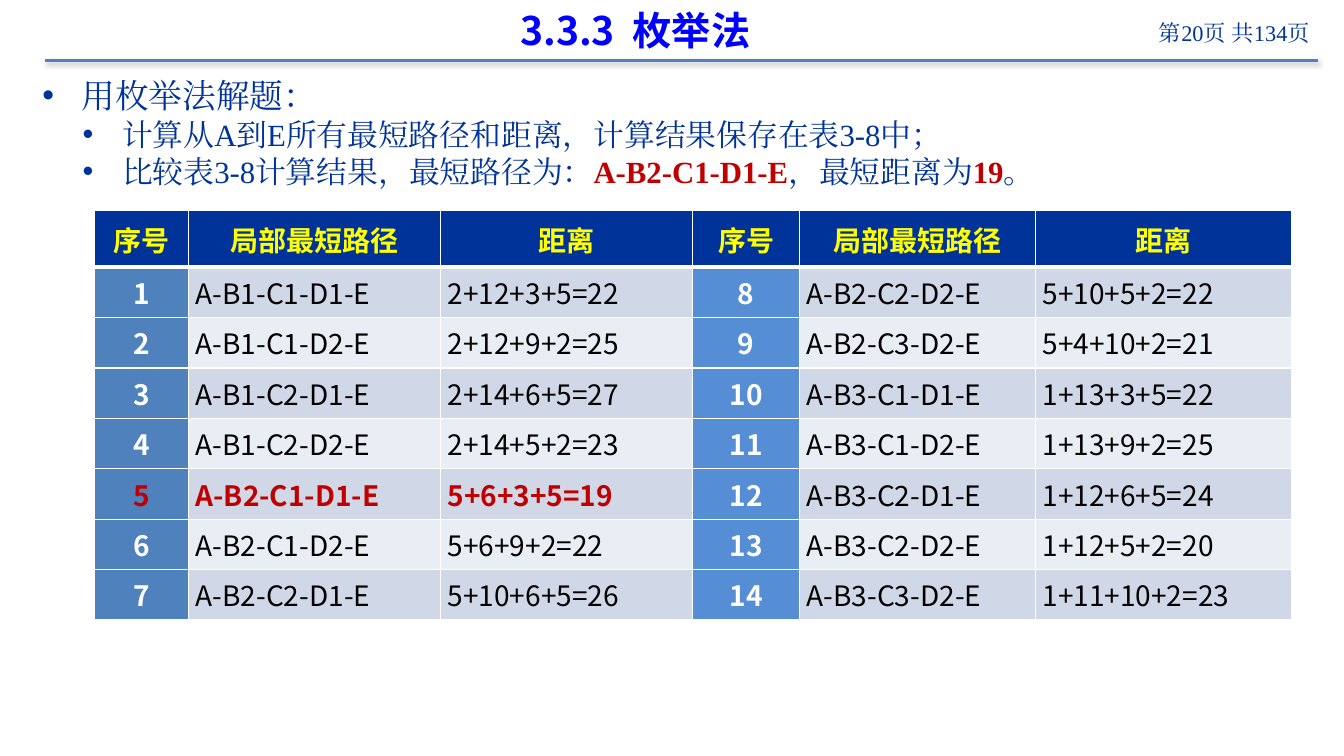
from dataclasses import dataclass
from typing import NamedTuple

from lxml.etree import SubElement
from pptx import Presentation
from pptx.dml.color import RGBColor
from pptx.enum.shapes import MSO_CONNECTOR as Connector
from pptx.enum.text import MSO_ANCHOR as Anchor, MSO_AUTO_SIZE as AutoSize, PP_ALIGN as Align
from pptx.oxml.ns import qn
from pptx.util import Inches, Pt


@dataclass(frozen=True)
class Theme:
    navy: str = "003399"
    blue: str = "0000FF"
    rule: str = "4F81BD"
    right_index: str = "558ED5"
    band_dark: str = "D0D8E8"
    band_light: str = "E9EDF4"
    yellow: str = "FFFF00"
    red: str = "C00000"
    white: str = "FFFFFF"
    black: str = "000000"
    serif: str = "Times New Roman"
    sans: str = "Noto Sans CJK SC"
    title_size: int = 28
    lead_size: int = 24
    point_size: int = 22
    table_size: int = 20
    page_size: int = 16


class Route(NamedTuple):
    number: int
    route_text: str
    distance: str


class Bullet(NamedTuple):
    level: int
    size: int
    pieces: tuple  # pairs of text and whether it is stressed


class CellStyle(NamedTuple):
    fill: str
    color: str
    bold: bool
    align: Align
    bottom: float = 1


THEME = Theme()
BEST_NUMBER = 5
HEADINGS = ("序号", "局部最短路径", "距离") * 2
COLUMN_WIDTHS = (0.93, 2.5, 2.5, 1.06, 2.34, 2.54)
HEADER_HEIGHT, ROW_HEIGHT = 0.56, 0.5

ROUTES = [Route(number, *texts) for number, texts in enumerate((
    ("A-B1-C1-D1-E", "2+12+3+5=22"),
    ("A-B1-C1-D2-E", "2+12+9+2=25"),
    ("A-B1-C2-D1-E", "2+14+6+5=27"),
    ("A-B1-C2-D2-E", "2+14+5+2=23"),
    ("A-B2-C1-D1-E", "5+6+3+5=19"),
    ("A-B2-C1-D2-E", "5+6+9+2=22"),
    ("A-B2-C2-D1-E", "5+10+6+5=26"),
    ("A-B2-C2-D2-E", "5+10+5+2=22"),
    ("A-B2-C3-D2-E", "5+4+10+2=21"),
    ("A-B3-C1-D1-E", "1+13+3+5=22"),
    ("A-B3-C1-D2-E", "1+13+9+2=25"),
    ("A-B3-C2-D1-E", "1+12+6+5=24"),
    ("A-B3-C2-D2-E", "1+12+5+2=20"),
    ("A-B3-C3-D2-E", "1+11+10+2=23"),
), start=1)]

BULLETS = (
    Bullet(0, THEME.lead_size, (("用枚举法解题：", False),)),
    Bullet(1, THEME.point_size,
           (("计算从A到E所有最短路径和距离，计算结果保存在表3-8中；", False),)),
    Bullet(1, THEME.point_size,
           (("比较表3-8计算结果，最短路径为：", False), ("A-B2-C1-D1-E", True),
            ("，最短距离为", False), ("19", True), ("。", False))),
)


def set_all(target, values: dict) -> None:
    for name, value in values.items():
        setattr(target, name, value)


def place(shape, left: float, top: float, width: float, height: float) -> None:
    set_all(shape, {"left": Inches(left), "top": Inches(top),
                    "width": Inches(width), "height": Inches(height)})


def add_run(paragraph, text: str, size: int, color: str, face: str, bold: bool = False) -> None:
    run = paragraph.add_run()
    run.text = text
    set_all(run.font, {"size": Pt(size), "bold": bold, "name": face})
    run.font.color.rgb = RGBColor.from_string(color)
    SubElement(run.font._element, qn("a:ea"), typeface=face)


def add_header_rule(slide) -> None:
    rule = slide.shapes.add_connector(
        Connector.STRAIGHT, Inches(0.45), Inches(0.6), Inches(13.07), Inches(0.6))
    rule.line.color.rgb = RGBColor.from_string(THEME.rule)
    rule.line.width = Pt(2)
    effects = SubElement(rule._element.spPr, qn("a:effectLst"))
    shadow = SubElement(effects, qn("a:outerShdw"), blurRad=str(Pt(3.1)), dist=str(Pt(1.6)),
                        dir="5400000", rotWithShape="0")
    color = SubElement(shadow, qn("a:srgbClr"), val=THEME.black)
    SubElement(color, qn("a:alpha"), val="38000")


def add_page_number(slide) -> None:
    box = slide.shapes.add_textbox(Inches(10.83), Inches(0.14), Inches(2.26), Inches(0.45))
    box.text_frame.word_wrap = True
    paragraph = box.text_frame.paragraphs[0]
    paragraph.alignment = Align.RIGHT
    add_run(paragraph, "第20页 共134页", THEME.page_size, THEME.navy, THEME.serif)


def fill_title(title) -> None:
    place(title, 0.77, 0.02, 11.06, 0.56)
    set_all(title.text_frame, {"vertical_anchor": Anchor.MIDDLE, "auto_size": AutoSize.NONE})
    paragraph = title.text_frame.paragraphs[0]
    paragraph.alignment = Align.CENTER
    add_run(paragraph, "3.3.3  枚举法", THEME.title_size, THEME.blue, THEME.sans, True)


def fill_body(body) -> None:
    place(body, 0.32, 0.69, 12.74, 6.56)
    frame = body.text_frame
    set_all(frame, {"vertical_anchor": Anchor.TOP, "auto_size": AutoSize.NONE})
    for index, bullet in enumerate(BULLETS):
        paragraph = frame.add_paragraph() if index else frame.paragraphs[0]
        set_all(paragraph, {"level": bullet.level, "alignment": Align.LEFT,
                            "space_before": Pt(0.3 if index else 0), "space_after": Pt(0)})
        properties = paragraph._p.get_or_add_pPr()
        properties.set("marL", str(Inches(0.39 + 0.4 * bullet.level)))
        properties.set("indent", str(Inches(-0.39)))
        SubElement(properties, qn("a:buFont"), typeface="Arial")
        SubElement(properties, qn("a:buChar"), char="•")
        for text, stressed in bullet.pieces:
            color = THEME.red if stressed else THEME.navy
            add_run(paragraph, text, bullet.size, color, THEME.serif, stressed)


def fill_cell(cell, text: str, style: CellStyle) -> None:
    set_all(cell, {"vertical_anchor": Anchor.MIDDLE, "margin_left": Inches(0.07),
                   "margin_right": Inches(0.07), "margin_top": 0, "margin_bottom": 0})
    properties = cell._tc.get_or_add_tcPr()
    for side, width in (("L", 1), ("R", 1), ("T", 1), ("B", style.bottom)):
        border = SubElement(properties, qn(f"a:ln{side}"), w=str(Pt(width)))
        SubElement(SubElement(border, qn("a:solidFill")), qn("a:srgbClr"), val=THEME.white)
    cell.fill.solid()
    cell.fill.fore_color.rgb = RGBColor.from_string(style.fill)
    paragraph = cell.text_frame.paragraphs[0]
    paragraph.alignment = style.align
    add_run(paragraph, text, THEME.table_size, style.color, THEME.sans, style.bold)


def add_route_table(slide) -> None:
    row_count = len(ROUTES) // 2
    table = slide.shapes.add_table(
        row_count + 1, len(HEADINGS), Inches(0.94), Inches(2.09), Inches(sum(COLUMN_WIDTHS)),
        Inches(HEADER_HEIGHT + row_count * ROW_HEIGHT)).table
    for column, width in zip(table.columns, COLUMN_WIDTHS):
        column.width = Inches(width)
    for index, row in enumerate(table.rows):
        row.height = Inches(ROW_HEIGHT if index else HEADER_HEIGHT)

    # Heading row
    heading = CellStyle(THEME.navy, THEME.yellow, True, Align.CENTER, 3)
    for column, text in enumerate(HEADINGS):
        fill_cell(table.cell(0, column), text, heading)

    # Routes run down the left half, then the right half
    for index, route in enumerate(ROUTES):
        half, row = divmod(index, row_count)
        best = route.number == BEST_NUMBER
        band = THEME.band_light if row % 2 else THEME.band_dark
        number_style = CellStyle(THEME.right_index if half else THEME.rule,
                                 THEME.red if best else THEME.white, True, Align.CENTER)
        route_style = CellStyle(band, THEME.red if best else THEME.black, best, Align.JUSTIFY)
        for offset, value in enumerate(route):
            fill_cell(table.cell(row + 1, half * 3 + offset), str(value),
                      route_style if offset else number_style)


def main() -> None:
    presentation = Presentation()
    set_all(presentation, {"slide_width": Inches(13.33), "slide_height": Inches(7.5)})
    slide = presentation.slides.add_slide(presentation.slide_layouts[1])
    # Header, then bullets and table
    add_header_rule(slide)
    add_page_number(slide)
    fill_title(slide.shapes.title)
    fill_body(slide.placeholders[1])
    add_route_table(slide)
    presentation.save("out.pptx")


if __name__ == "__main__":
    main()
